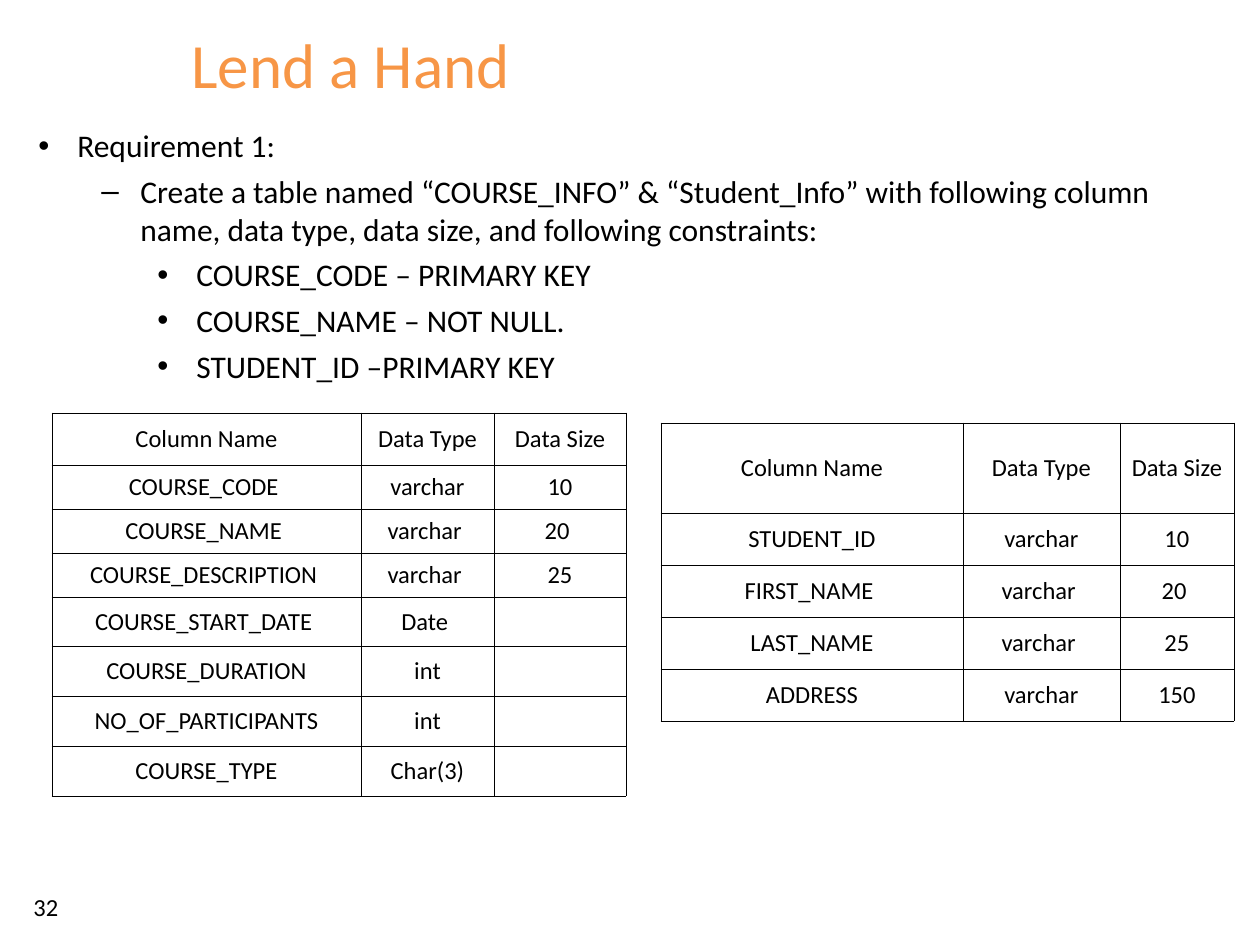
from lxml.etree import SubElement
from pptx import Presentation
from pptx.dml.color import RGBColor
from pptx.enum.text import MSO_ANCHOR, PP_ALIGN
from pptx.oxml.ns import qn
from pptx.util import Pt

BLACK = RGBColor(0x00, 0x00, 0x00)
ORANGE = RGBColor(0xF7, 0x96, 0x46)
PX = 914400 / 126

REQUIREMENTS = [
    (0, "•", "Requirement 1:"),
    (1, "–", "Create a table named “COURSE_INFO” & “Student_Info” with following "
             "column name, data type, data size, and following constraints:"),
    (2, "•", "COURSE_CODE – PRIMARY KEY"),
    (2, "•", "COURSE_NAME – NOT NULL."),
    (2, "•", "STUDENT_ID –PRIMARY KEY"),
]
HEADINGS = ("Column Name", "Data Type", "Data Size")
COURSE_INFO = [
    HEADINGS,
    ("COURSE_CODE ", "varchar", "10"),
    ("COURSE_NAME ", "varchar ", "20 "),
    ("COURSE_DESCRIPTION ", "varchar ", "25"),
    ("COURSE_START_DATE ", "Date ", ""),
    ("COURSE_DURATION", "int", ""),
    ("NO_OF_PARTICIPANTS", "int", ""),
    ("COURSE_TYPE", "Char(3)", ""),
]
STUDENT_INFO = [
    HEADINGS,
    ("STUDENT_ID", "varchar", "10"),
    ("FIRST_NAME ", "varchar ", "20 "),
    ("LAST_NAME", "varchar ", "25"),
    ("ADDRESS", "varchar", "150"),
]


def px(length):
    return round(length * PX)


class SlideBuilder:
    font = "Calibri"
    level_margins = (39, 102, 158)
    hanging = 39
    border = Pt(0.45)

    def __init__(self, slide):
        self.slide = slide

    def run(self, paragraph, text, size, color=BLACK):
        run = paragraph.add_run()
        run.text = text
        run.font.name = self.font
        run.font.size = Pt(size)
        run.font.color.rgb = color

    def frame(self, left, top, width, height):
        box = self.slide.shapes.add_textbox(px(left), px(top), px(width), px(height))
        box.text_frame.word_wrap = True
        return box.text_frame

    def label(self, text, bounds, size, color=BLACK, anchor=MSO_ANCHOR.TOP):
        frame = self.frame(*bounds)
        frame.vertical_anchor = anchor
        self.run(frame.paragraphs[0], text, size, color)

    def bullets(self, items, bounds, size):
        frame = self.frame(*bounds)
        for index, (level, mark, text) in enumerate(items):
            paragraph = frame.add_paragraph() if index else frame.paragraphs[0]
            paragraph.level = level
            properties = paragraph._p.get_or_add_pPr()
            properties.set("marL", str(px(self.level_margins[level])))
            properties.set("indent", str(-px(self.hanging)))
            mark_color = SubElement(properties, qn("a:buClr"))
            SubElement(mark_color, qn("a:srgbClr"), val=str(BLACK))
            SubElement(properties, qn("a:buFont"), typeface="Arial")
            SubElement(properties, qn("a:buChar"), char=mark)
            if index:
                paragraph.space_before = Pt(4.5)
            self.run(paragraph, text, size)

    def outline(self, cell):
        properties = cell._tc.get_or_add_tcPr()
        for side in ("a:lnL", "a:lnR", "a:lnT", "a:lnB"):
            line = SubElement(properties, qn(side), w=str(self.border))
            fill = SubElement(line, qn("a:solidFill"))
            SubElement(fill, qn("a:srgbClr"), val=str(BLACK))

    def table(self, rows, left, top, widths, header_height, row_height, size):
        heights = [header_height] + [row_height] * (len(rows) - 1)
        table = self.slide.shapes.add_table(
            len(rows), len(widths), px(left), px(top),
            px(sum(widths)), px(sum(heights))).table
        table.first_row = False
        table.horz_banding = False
        for column, width in zip(table.columns, widths):
            column.width = px(width)
        for row, height, values in zip(table.rows, heights, rows):
            row.height = px(height)
            for cell, value in zip(row.cells, values):
                self.outline(cell)
                cell.fill.background()
                cell.vertical_anchor = MSO_ANCHOR.MIDDLE
                cell.margin_left = cell.margin_right = px(11)
                cell.margin_top = cell.margin_bottom = px(6)
                paragraph = cell.text_frame.paragraphs[0]
                paragraph.alignment = PP_ALIGN.CENTER
                if value:
                    self.run(paragraph, value, size)


def main():
    deck = Presentation()
    deck.slide_width, deck.slide_height = px(1260), px(945)
    builder = SlideBuilder(deck.slides.add_slide(deck.slide_layouts[6]))
    builder.bullets(REQUIREMENTS, (26, 120, 1197, 659), 18)
    builder.label("Lend a Hand", (179, 10, 1056, 106), 36, ORANGE, MSO_ANCHOR.MIDDLE)
    builder.table(COURSE_INFO, 52, 413, (309, 133, 132), 52, 44, 14)
    builder.table(STUDENT_INFO, 661, 423, (302, 157, 114), 90, 52, 14)
    builder.label("32", (21, 886, 63, 38), 14)
    deck.save("out.pptx")


if __name__ == "__main__":
    main()
